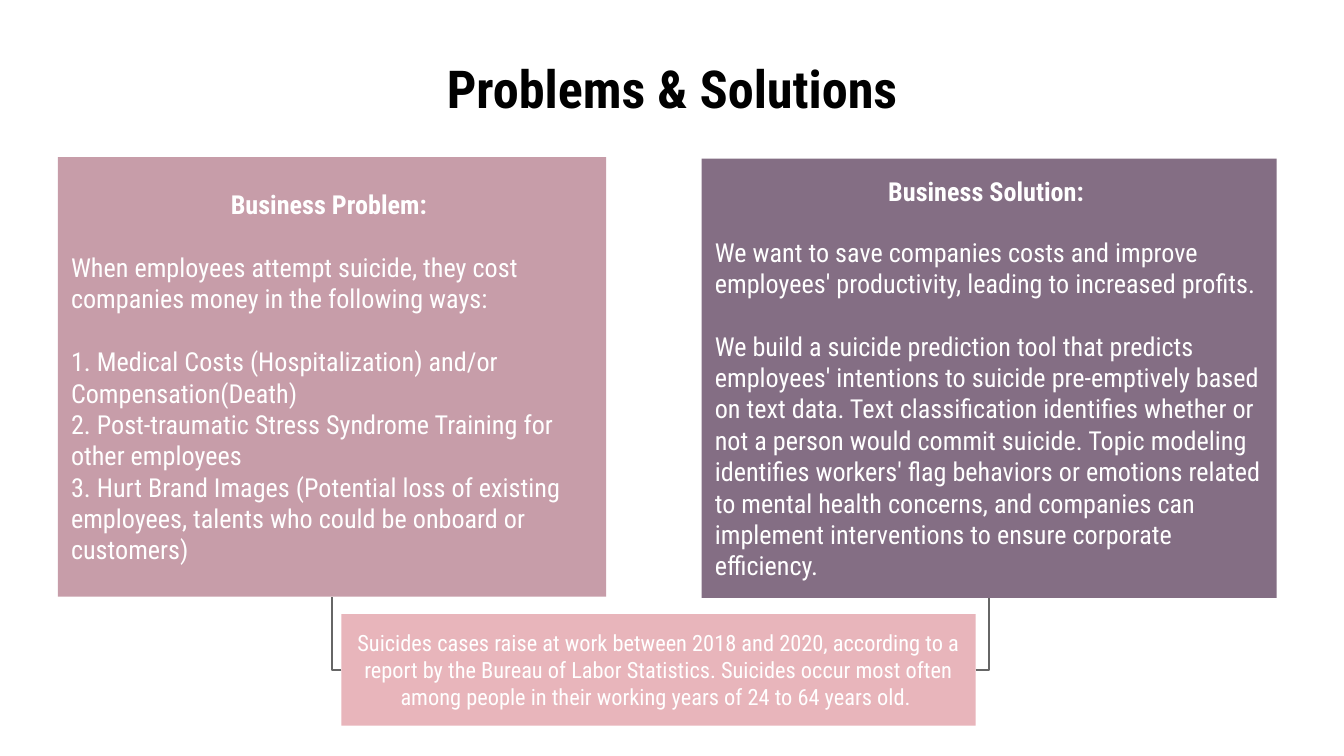
from lxml import etree
from pptx import Presentation
from pptx.dml.color import RGBColor
from pptx.enum.shapes import MSO_CONNECTOR, MSO_SHAPE
from pptx.enum.text import MSO_ANCHOR, PP_ALIGN
from pptx.oxml.ns import qn
from pptx.util import Inches, Pt

FONT = "Roboto Condensed"
COLORS = {"black": "000000", "white": "FFFFFF", "rose": "C79DA9",
          "plum": "846E84", "pink": "E8B5BB", "gray": "666666"}

TITLE = "Problems & Solutions"
NOTE = ("Suicides cases raise at work between 2018 and 2020, according to a report "
        "by the Bureau of Labor Statistics. Suicides occur most often among people "
        "in their working years of 24 to 64 years old. ")
PANELS = [
    {"box": (0.43, 1.17, 4.08, 3.27), "fill": "rose", "head": "Business Problem: ",
     "body": [
         ("When employees attempt suicide, they cost companies money in the "
          "following ways:", 16.8),
         ("1. Medical Costs (Hospitalization) and/or Compensation(Death)", 16.8),
         ("2. Post-traumatic Stress Syndrome Training for other employees", 0),
         ("3. Hurt Brand Images (Potential loss of existing employees, talents "
          "who could be onboard or customers)", 0)]},
    {"box": (5.22, 1.18, 4.28, 3.27), "fill": "plum", "head": "Business Solution: ",
     "body": [
         ("We want to save companies costs and improve employees' productivity, "
          "leading to increased profits.", 15.6),
         ("We build a suicide prediction tool that predicts employees' intentions "
          "to suicide pre-emptively based on text data. Text classification "
          "identifies whether or not a person would commit suicide. Topic modeling "
          "identifies workers' flag behaviors or emotions related to mental health "
          "concerns, and companies can implement interventions to ensure corporate "
          "efficiency.", 16.8)]},
]
WIDTH = 10
HEIGHT = WIDTH * 9 / 16
TITLE_BOX = (0.5, 0.45, 9, 0.41)
NOTE_BOX = (2.54, 4.57, 4.72, 0.83)


def color(name):
    return RGBColor.from_string(COLORS[name])


def frame(shape):
    area = shape.text_frame
    area.word_wrap = True
    area.vertical_anchor = MSO_ANCHOR.MIDDLE
    area.margin_left = area.margin_right = Inches(0.1)
    area.margin_top = area.margin_bottom = Inches(0.1)
    return area


def write(area, text, size=14, ink="white", bold=False, align=PP_ALIGN.LEFT, gap=0):
    para = area.paragraphs[0]
    if para.runs:
        para = area.add_paragraph()
    para.alignment = align
    if gap:
        para.space_before = Pt(gap)
    run = para.add_run()
    run.text = text
    run.font.name = FONT
    run.font.size = Pt(size)
    run.font.bold = bold
    run.font.color.rgb = color(ink)


def block(slide, box, fill):
    shape = slide.shapes.add_shape(MSO_SHAPE.RECTANGLE, *map(Inches, box))
    shape.shadow.inherit = False
    shape.fill.solid()
    shape.fill.fore_color.rgb = color(fill)
    shape.line.fill.background()
    return frame(shape)


def link(slide, start, end):
    line = slide.shapes.add_connector(MSO_CONNECTOR.ELBOW, *map(Inches, start + end))
    line.line.color.rgb = color("gray")
    line.line.width = Pt(0.75)
    props = line._element.spPr
    props.find(qn("a:prstGeom")).set("prst", "bentConnector2")
    etree.SubElement(props, qn("a:effectLst"))


def main():
    deck = Presentation()
    deck.slide_width, deck.slide_height = Inches(WIDTH), Inches(HEIGHT)
    slide = deck.slides.add_slide(deck.slide_layouts[6])

    title = slide.shapes.add_textbox(*map(Inches, TITLE_BOX))
    write(frame(title), TITLE, size=28, ink="black", bold=True, align=PP_ALIGN.CENTER)

    write(block(slide, NOTE_BOX, "pink"), NOTE, size=12, align=PP_ALIGN.CENTER)

    left, top, width, height = NOTE_BOX
    for panel, side in zip(PANELS, (left, left + width)):
        x, y, w, h = panel["box"]
        link(slide, (side, top + height / 2), (x + w / 2, y + h))
        area = block(slide, panel["box"], panel["fill"])
        write(area, panel["head"], bold=True, align=PP_ALIGN.CENTER)
        for text, gap in panel["body"]:
            write(area, text, gap=gap)

    deck.save("out.pptx")


if __name__ == "__main__":
    main()
